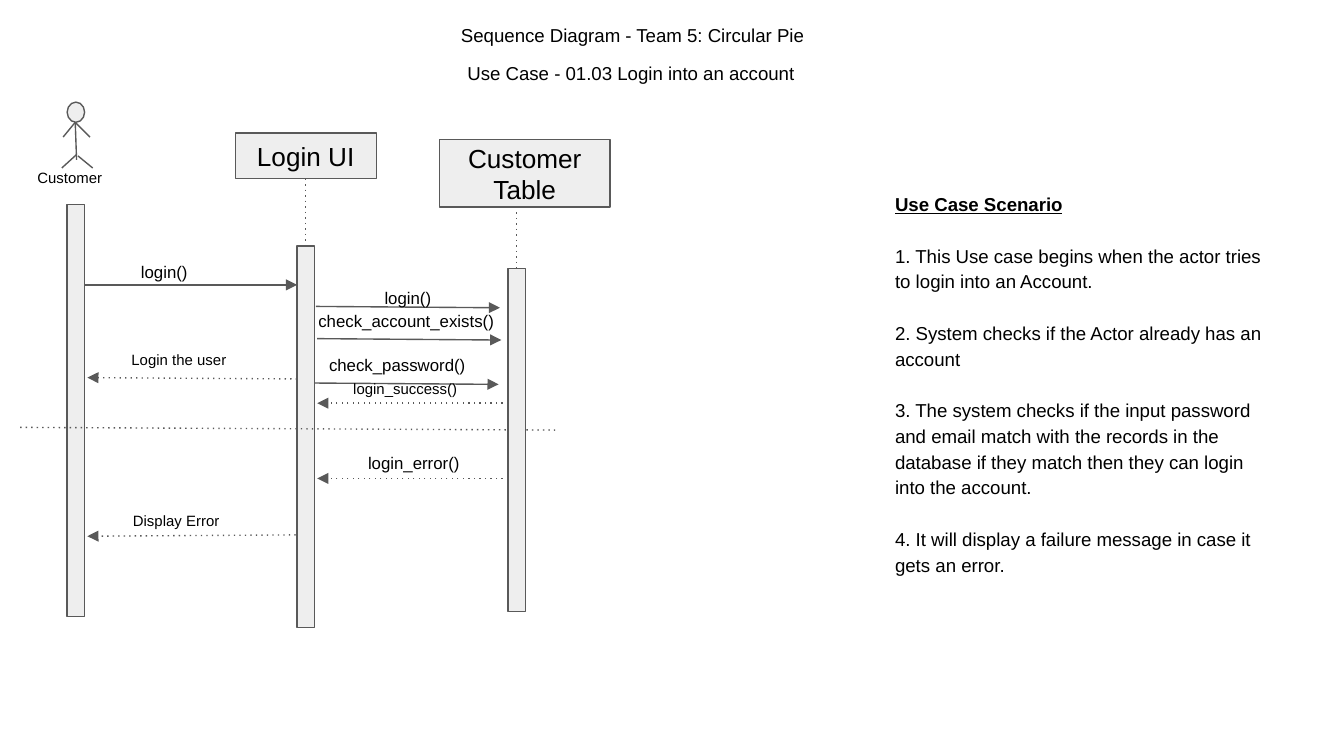
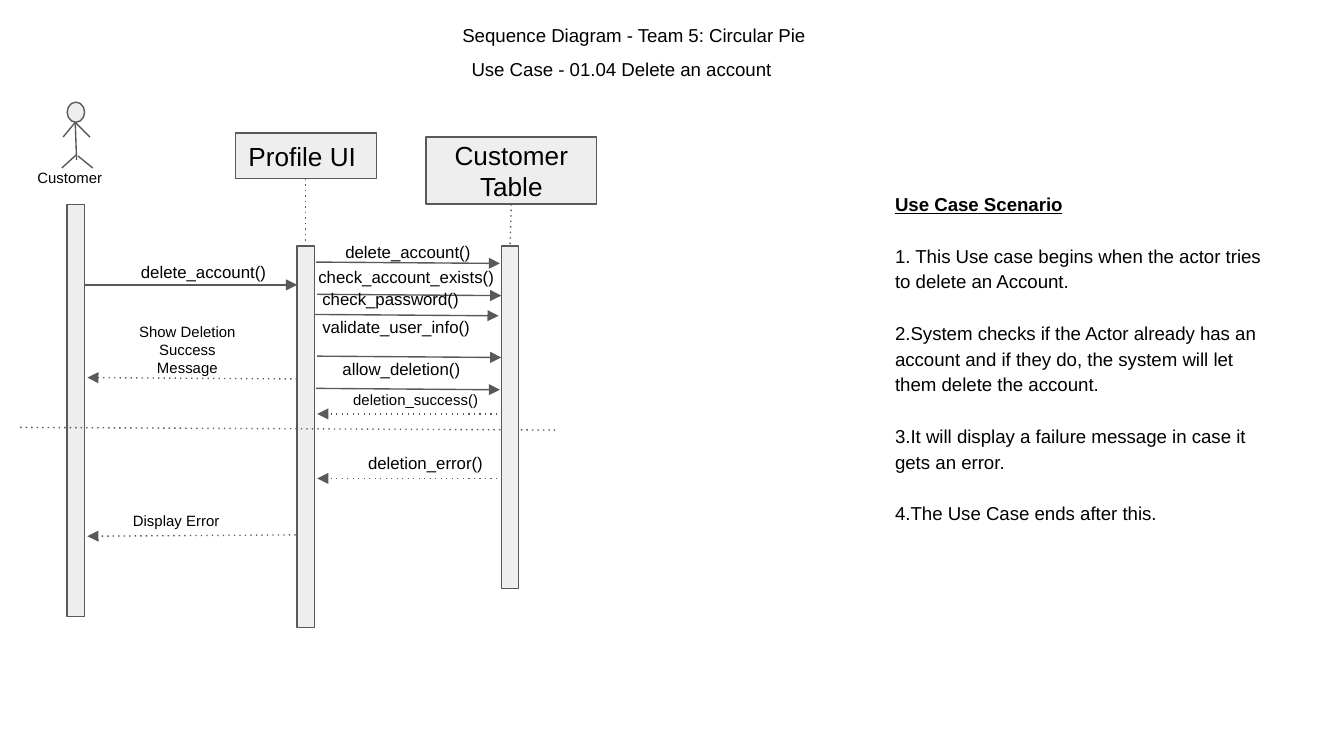
import dataclasses
import lxml.etree
import pptx
import pptx.dml.color
import pptx.enum.shapes
import pptx.enum.text
import pptx.oxml.ns
import pptx.util

Inches = pptx.util.Inches
Shape = pptx.enum.shapes.MSO_SHAPE
Align = pptx.enum.text.PP_ALIGN
Anchor = pptx.enum.text.MSO_ANCHOR
Fit = pptx.enum.text.MSO_AUTO_SIZE


@dataclasses.dataclass(frozen=True)
class Theme:
    font: str = "Arial"
    ink: str = "000000"
    fill: str = "EEEEEE"
    edge: str = "595959"
    line: float = 0.75
    small: int = 8
    label: int = 9
    text: int = 10
    head: int = 14
    lead: float = 1.15
    gap: float = 13.8


THEME = Theme()
DEPTH = {THEME.small: 0.34, THEME.label: 0.35, THEME.text: 0.37}

LOGIN = dict(
    team=(3.33, 3.08),
    case=("Use Case - 01.03 Login into an account", 3.38, 0.38, 2.73),
    items=[
        "1. This Use case begins when the actor tries to login into an Account.",
        "2. System checks if the Actor already has an account",
        "3. The system checks if the input password and email match with the "
        "records in the database if they match then they can login into the account.",
        "4. It will display a failure message in case it gets an error.",
    ],
    depth=3.08,
    view=("Login UI", Align.CENTER),
    table=(3.27, 1.04),
    bar=(3.78, 2),
    calls=[(2.35, 2.28), (2.36, 2.52), (2.34, 2.85)],
    replies=[3, 3.56],
    labels=[
        ("login()", 0.95, 1.87, 1.42, THEME.label),
        ("login()", 2.15, 2.03, 1.77, THEME.label, 0.35, Align.CENTER, THEME.lead),
        ("check_account_exists()", 2.27, 2.24, 1.82, THEME.label, 0.5),
        ("check_password()", 2.35, 2.56, 1.27, THEME.label),
        ("login_success()", 2.53, 2.76, 1.27, THEME.small),
        ("login_error()", 2.64, 3.29, 1.77, THEME.label),
        ("Login the user", 0.88, 2.54, 0.97, THEME.small),
    ],
)

DELETE = dict(
    team=(3.34, 2.86),
    case=("Use Case - 01.04 Delete an account", 3.41, 0.35, 2.61),
    items=[
        "1. This Use case begins when the actor tries to delete an Account.",
        "2.System checks if the Actor already has an account and if they do, "
        "the system will let them delete the account.",
        "3.It will display a failure message in case it gets an error.",
        "4.The Use Case ends after this.",
    ],
    depth=2.69,
    view=("Profile UI", Align.LEFT),
    table=(3.17, 1.02),
    bar=(3.73, 1.83),
    calls=[(2.35, 1.95), (2.36, 2.19), (2.34, 2.34), (2.36, 2.65), (2.35, 2.89)],
    replies=[3.08, 3.56],
    labels=[
        ("delete_account()", 0.95, 1.87, 1.42, THEME.label),
        ("delete_account()", 2.15, 1.69, 1.77, THEME.label, 0.35, Align.CENTER,
         THEME.lead),
        ("check_account_exists()", 2.27, 1.91, 1.82, THEME.label),
        ("check_password()", 2.3, 2.07, 1.27, THEME.label),
        ("validate_user_info()", 2.3, 2.28, 1.33, THEME.label),
        ("allow_deletion()", 2.45, 2.59, 1.33, THEME.label),
        ("deletion_success()", 2.53, 2.84, 1.27, THEME.small),
        ("deletion_error()", 2.64, 3.29, 1.77, THEME.label),
        ("Show Deletion Success Message", 0.91, 2.3, 0.97, THEME.small, 0.61,
         Align.CENTER),
    ],
)


def color(code):
    return pptx.dml.color.RGBColor.from_string(code)


def style(para, size, align=Align.LEFT, bold=False):
    para.alignment = align
    font = para.font
    font.name, font.size = THEME.font, pptx.util.Pt(size)
    font.bold = font.underline = bold
    font.color.rgb = color(THEME.ink)


def frame(shape, anchor=Anchor.TOP, fit=Fit.SHAPE_TO_FIT_TEXT):
    text = shape.text_frame
    text.word_wrap = True
    text.auto_size = fit
    text.vertical_anchor = anchor
    text.margin_left = text.margin_right = Inches(0.1)
    text.margin_top = text.margin_bottom = Inches(0.1)
    return text


def place(shape, x, y, w, h):
    shape.left, shape.top = Inches(x), Inches(y)
    shape.width, shape.height = Inches(w), Inches(h)


def label(slide, text, x, y, w, size, h=None, align=Align.LEFT, lead=1.0):
    box = slide.shapes.add_textbox(*map(Inches, (x, y, w, h or DEPTH[size])))
    body = frame(box)
    body.text = text
    para = body.paragraphs[0]
    para.line_spacing = lead
    style(para, size, align)


def block(slide, x, y, w, h, kind=Shape.RECTANGLE):
    shape = slide.shapes.add_shape(kind, *map(Inches, (x, y, w, h)))
    shape.shadow.inherit = False
    shape.fill.solid()
    shape.fill.fore_color.rgb = color(THEME.fill)
    shape.line.color.rgb = color(THEME.edge)
    shape.line.width = pptx.util.Pt(THEME.line)
    return shape


def header(slide, text, x, y, w, h, align=Align.CENTER):
    shape = block(slide, x, y, w, h)
    body = frame(shape, Anchor.MIDDLE, Fit.NONE)
    body.text = text
    style(body.paragraphs[0], THEME.head, align)
    return shape


def line(slide, start, end, dot=False, arrow=False):
    link = slide.shapes.add_connector(
        pptx.enum.shapes.MSO_CONNECTOR.STRAIGHT, *map(Inches, start + end))
    link.line.color.rgb = color(THEME.edge)
    link.line.width = pptx.util.Pt(THEME.line)
    tag = pptx.oxml.ns.qn
    edge = link.get_or_add_ln()
    if dot:
        lxml.etree.SubElement(edge, tag("a:prstDash"), val="dot")
    if arrow:
        lxml.etree.SubElement(edge, tag("a:tailEnd"), type="triangle")
    lxml.etree.SubElement(link.element.spPr, tag("a:effectLst"))
    return link


def actor(slide):
    block(slide, 0.5, 0.76, 0.13, 0.15, Shape.OVAL)
    neck = (0.56, 0.91)
    line(slide, neck, (0.57, 1.19))
    for hand in (0.67, 0.47):
        line(slide, neck, (hand, 1.02))
    line(slide, (0.57, 1.15), (0.46, 1.25))
    line(slide, (0.58, 1.16), (0.69, 1.25))
    label(slide, "Customer", 0.18, 1.19, 0.77, THEME.small)


def lanes(slide, case):
    wide = 0.13
    block(slide, 0.5, 1.52, wide, 3.07)
    view_bar = block(slide, 2.21, 1.83, wide, 2.84)
    text, align = case["view"]
    view = header(slide, text, 1.75, 0.99, 1.05, 0.34, align)
    line(slide, (0.15, 3.18), (4.13, 3.2), dot=True)
    table = header(slide, "Customer Table", *case["table"], 1.27, 0.5)
    x, y = case["bar"]
    table_bar = block(slide, x, y, wide, 2.55)
    for head, bar in ((view, view_bar), (table, table_bar)):
        mid = (bar.left + bar.width / 2) / Inches(1)
        base = (head.top + head.height) / Inches(1)
        link = line(slide, (mid, base), (mid, bar.top / Inches(1)), dot=True)
        if abs(head.left + head.width / 2 - Inches(mid)) < Inches(0.02):
            link.begin_connect(head, 2)
        link.end_connect(bar, 0)


def messages(slide, case):
    line(slide, (0.63, 2.12), (2.21, 2.12), arrow=True)
    for x, y in case["calls"]:
        line(slide, (x, y), (x + 1.37, y + 0.01), arrow=True)
    for y in case["replies"]:
        line(slide, (3.78, y), (2.36, y), dot=True, arrow=True)
    line(slide, (2.21, 2.82), (0.65, 2.81), dot=True, arrow=True)
    line(slide, (2.2, 3.98), (0.65, 3.99), dot=True, arrow=True)
    for entry in case["labels"]:
        label(slide, *entry)
    label(slide, "Display Error", 0.89, 3.74, 1.22, THEME.small)


def titles(slide, case):
    title = slide.shapes.title
    x, w = case["team"]
    place(title, x, 0.08, w, DEPTH[THEME.text])
    text = frame(title)
    text.text = "Sequence Diagram - Team 5: Circular Pie"
    style(text.paragraphs[0], THEME.text)
    label(slide, *case["case"], THEME.text)


def story(slide, case):
    body = slide.placeholders[1]
    place(body, 6.56, 1.31, 2.97, case["depth"])
    text = frame(body)
    text.text = "\n".join(["Use Case Scenario"] + case["items"])
    for rank, para in enumerate(text.paragraphs):
        props = para._p.get_or_add_pPr()
        props.set("marL", "0")
        props.set("indent", "0")
        lxml.etree.SubElement(props, pptx.oxml.ns.qn("a:buNone"))
        para.line_spacing = THEME.lead
        para.space_before = pptx.util.Pt(THEME.gap if rank else 0)
        style(para, THEME.text, bold=rank == 0)


def main():
    deck = pptx.Presentation()
    deck.slide_width, deck.slide_height = Inches(10), Inches(10 * 9 / 16)
    for case in (LOGIN, DELETE):
        slide = deck.slides.add_slide(deck.slide_layouts[1])
        titles(slide, case)
        story(slide, case)
        actor(slide)
        messages(slide, case)
        lanes(slide, case)
    deck.save("out.pptx")


if __name__ == "__main__":
    main()
